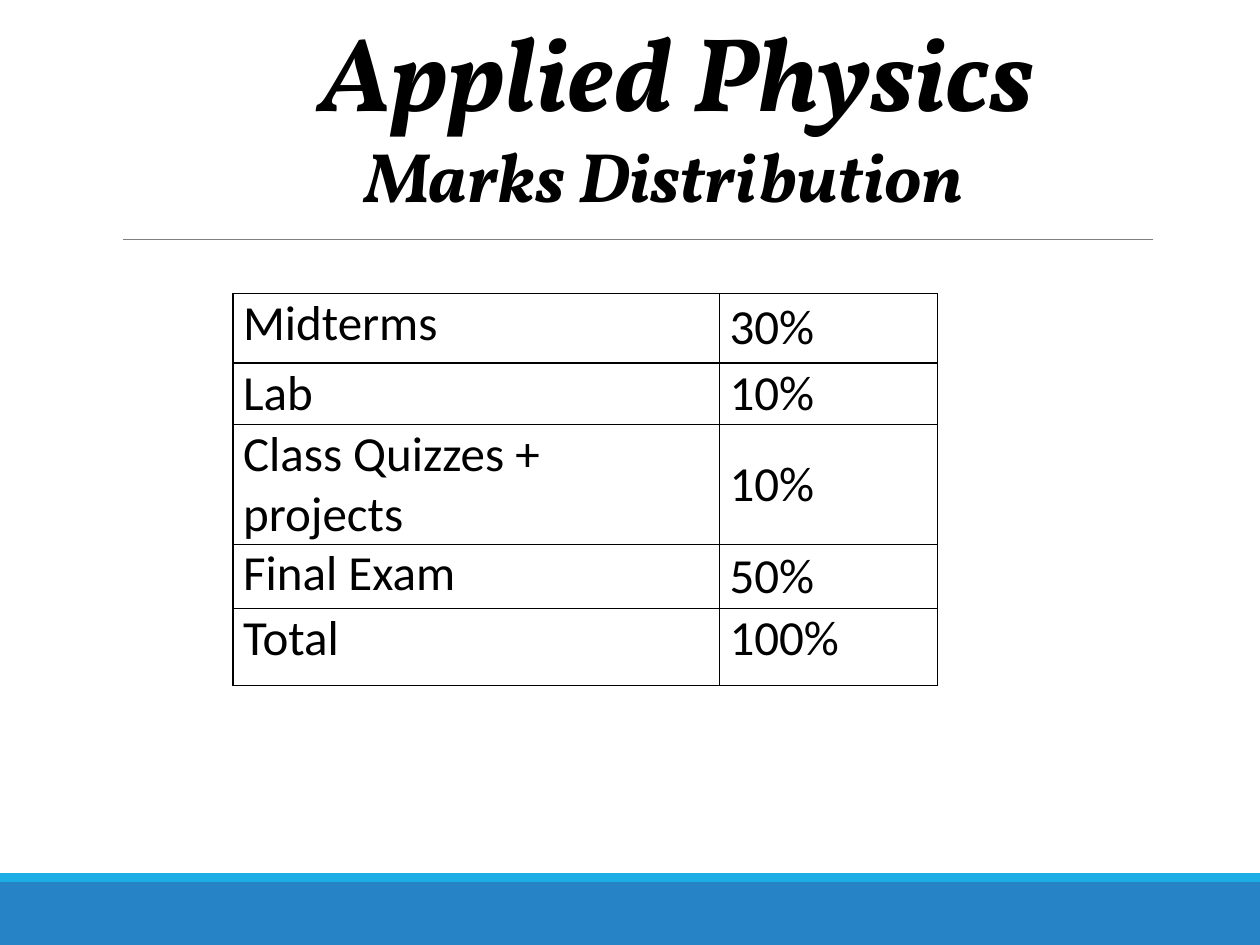
from dataclasses import dataclass

from pptx import Presentation
from pptx.dml.color import RGBColor as Rgb
from pptx.enum.shapes import MSO_CONNECTOR as Link, MSO_SHAPE as Form
from pptx.enum.text import MSO_ANCHOR as Anchor, PP_ALIGN as Align
from pptx.oxml.ns import qn
from pptx.util import Inches, Pt
from lxml.etree import SubElement as Sub


@dataclass(frozen=True)
class Theme:
    """Colours, fonts and type sizes."""
    ink: str = "000000"
    rule: str = "7F7F7F"
    band: str = "2683C6"
    strip: str = "1CADE4"
    head: str = "Vollkorn"
    body: str = "Calibri"
    title: int = 60
    sub: int = 40
    cell: int = 28


THEME = Theme()
WIDE, HIGH = 10, 7.5
TITLE = [("Applied Physics", THEME.title, 0.2),
         ("Marks Distribution", THEME.sub, 0)]
COLS = [3.86, 1.73]
TOP, MID = Anchor.TOP, Anchor.MIDDLE
MARKS = [
    (0.55, ("Midterms", TOP), ("30%", MID)),
    (0.49, ("Lab", MID), ("10%", MID)),
    (0.95, ("Class Quizzes + projects", MID), ("10%", MID)),
    (0.51, ("Final Exam", TOP), ("50%", MID)),
    (0.61, ("Total", TOP), ("100%", TOP)),
]


def style(para, face, size, bold=False):
    """Format the runs of a paragraph; bold text is italic too."""
    for run in para.runs:
        font = run.font
        font.name, font.size = face, Pt(size)
        font.bold = font.italic = bold
        font.color.rgb = Rgb.from_string(THEME.ink)


def add_band(slide, top, high, color):
    """Add a full-width bar."""
    bar = slide.shapes.add_shape(
        Form.RECTANGLE, 0, Inches(top), Inches(WIDE), Inches(high))
    bar.shadow.inherit = False
    bar.fill.solid()
    bar.fill.fore_color.rgb = Rgb.from_string(color)
    bar.line.fill.background()


def add_rule(slide, left, right, top):
    """Add the thin line below the title."""
    rule = slide.shapes.add_connector(
        Link.STRAIGHT, Inches(left), Inches(top), Inches(right), Inches(top))
    rule.line.color.rgb = Rgb.from_string(THEME.rule)
    rule.line.width = Pt(0.75)
    Sub(rule._element.spPr, qn("a:effectLst"))


def add_title(slide):
    """Add the two title lines, the second centred further left."""
    box = slide.shapes.add_textbox(
        Inches(0.75), 0, Inches(9.25), Inches(1.78))
    frame = box.text_frame
    frame.word_wrap = True
    frame.vertical_anchor = TOP
    frame.margin_right = Inches(0.3)
    frame.text = "\n".join(text for text, *_ in TITLE)
    for para, (_, size, left) in zip(frame.paragraphs, TITLE):
        para.alignment = Align.CENTER
        para._p.get_or_add_pPr().set("marL", str(Inches(left)))
        style(para, THEME.head, size, bold=True)


def add_edges(cell):
    """Draw the four borders of a cell, ahead of its fill."""
    props = cell._tc.get_or_add_tcPr()
    for side in ("lnL", "lnR", "lnT", "lnB"):
        line = Sub(props, qn(f"a:{side}"), w=str(Pt(1)))
        fill = Sub(line, qn("a:solidFill"))
        Sub(fill, qn("a:srgbClr"), val=THEME.ink)


def fill_cell(cell, text, anchor):
    """Set the text, margins and look of one cell."""
    cell.text_frame.text = text
    cell.vertical_anchor = anchor
    cell.margin_left, cell.margin_right = Inches(0.08), Inches(0.1)
    cell.margin_top = cell.margin_bottom = 0
    style(cell.text_frame.paragraphs[0], THEME.body, THEME.cell)
    add_edges(cell)
    cell.fill.background()


def add_marks(slide):
    """Add the table of marks."""
    high = sum(row[0] for row in MARKS)
    table = slide.shapes.add_table(
        len(MARKS), len(COLS), Inches(1.85), Inches(2.33),
        Inches(sum(COLS)), Inches(high)).table
    table.first_row = table.horz_banding = False
    for col, wide in zip(table.columns, COLS):
        col.width = Inches(wide)
    for row, (tall, *cells) in zip(table.rows, MARKS):
        row.height = Inches(tall)
        for cell, (text, anchor) in zip(row.cells, cells):
            fill_cell(cell, text, anchor)


def main():
    """Build the slide and save it."""
    deck = Presentation()
    deck.slide_width, deck.slide_height = Inches(WIDE), Inches(HIGH)
    slide = deck.slides.add_slide(deck.slide_layouts[6])
    add_band(slide, 7, 0.5, THEME.band)
    add_band(slide, 6.93, 0.07, THEME.strip)
    add_rule(slide, 0.98, 9.15, 1.9)
    add_title(slide)
    add_marks(slide)
    deck.save("out.pptx")


if __name__ == "__main__":
    main()
